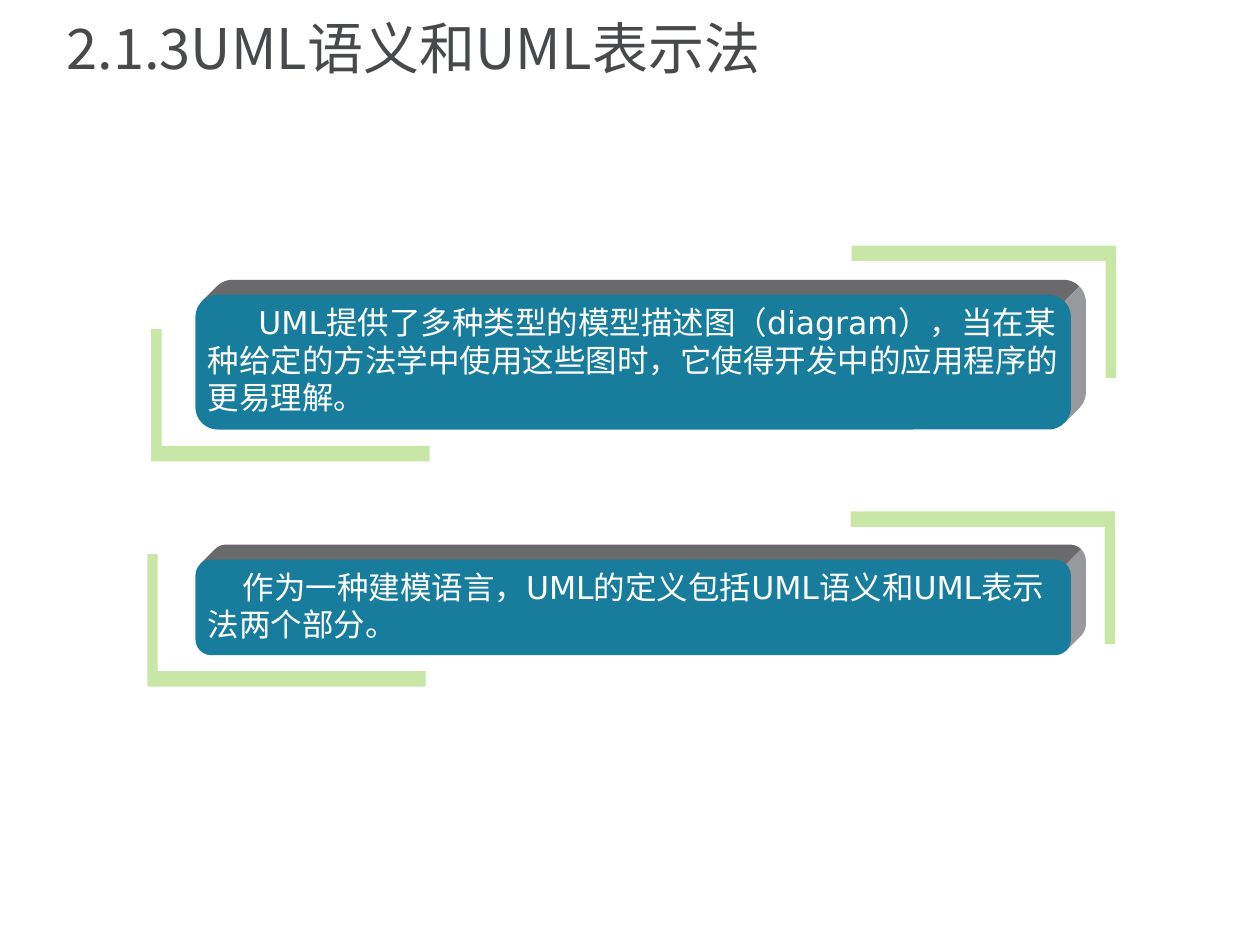
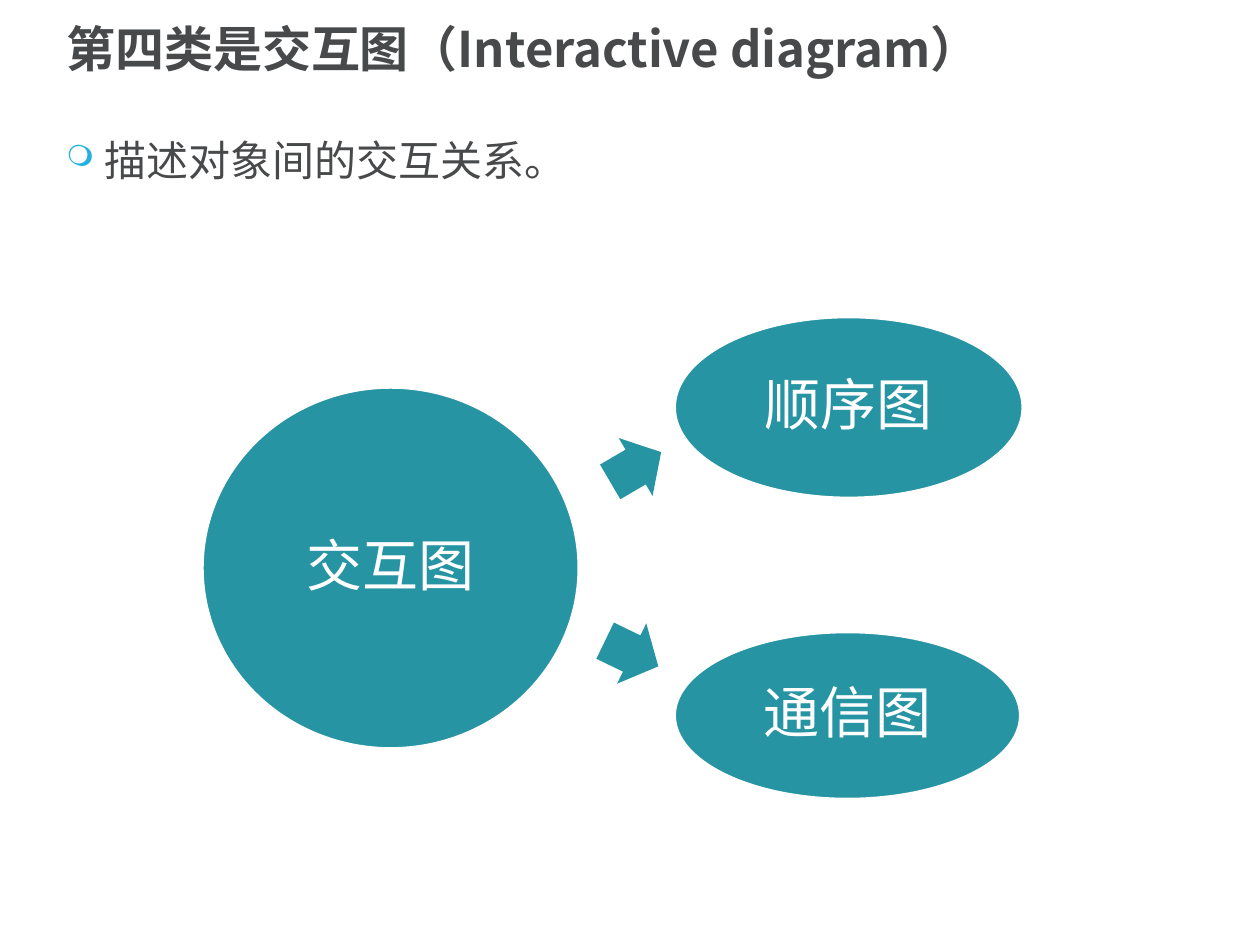
from dataclasses import dataclass
from math import cos, radians, sin

from lxml import etree
from pptx import Presentation
from pptx.dml.color import RGBColor
from pptx.enum import shapes, text
from pptx.oxml import ns
from pptx.util import Cm, Pt

Point = tuple[float, float]


@dataclass(frozen=True)
class Theme:
    ink: str = "47494B"
    white: str = "FFFFFF"
    face: str = "187D9D"
    top: str = "6A6A6C"
    side: str = "97999C"
    lime: str = "92D050"
    teal: str = "2794A4"
    bullet: str = "22B1DE"
    sans: str = "Noto Sans CJK SC"
    plain: str = "DejaVu Sans"
    large: int = 32
    head: int = 28
    body: int = 24
    note: int = 18


@dataclass(frozen=True)
class Panel:
    """Raised card; left and right are the corners of its two brackets."""
    words: str
    y: float
    h: float
    indent: float
    left: Point
    right: Point


@dataclass(frozen=True)
class Oval:
    words: str
    x: float
    y: float
    w: float
    h: float


@dataclass(frozen=True)
class Arrow:
    x: float
    y: float
    turn: float


THEME = Theme()
PANELS = (
    Panel("UML提供了多种类型的模型描述图（diagram），当在某种给定的方法学中使用这些图时，"
          "它使得开发中的应用程序的更易理解。", 5.94, 2.72, 1.02, (3.05, 9.3), (22.5, 4.95)),
    Panel("作为一种建模语言，UML的定义包括UML语义和UML表示法两个部分。",
          11.28, 1.93, 0.7, (2.97, 13.84), (22.48, 10.31)),
)
OVALS = (
    Oval("顺序图", 13.61, 6.4, 7, 3.63),
    Oval("通信图", 13.61, 12.75, 6.95, 3.35),
    Oval("交互图", 4.09, 7.82, 7.57, 7.26),
)
ARROWS = (Arrow(12.22, 8.74, 329.7), Arrow(12.14, 12.5, 25.8))
CARD_X, CARD_W, DEPTH = 3.94, 17.65, 0.3


def add(node, tag: str, **attrs: str):
    return etree.SubElement(node, ns.qn(tag), attrs)


def write(frame, words: str, *, size: int, color: str = THEME.ink,
          font: str = THEME.sans, bold: bool = False, align=None, anchor=None,
          gap: float = 1, margin: float = 0, indent: float = 0, bullet: str = "") -> None:
    frame.word_wrap = True
    frame.vertical_anchor = anchor or text.MSO_ANCHOR.TOP
    para = frame.paragraphs[0]
    para.alignment = align
    para.line_spacing = gap
    props = para._p.get_or_add_pPr()
    props.set("marL", str(Cm(margin)))
    props.set("indent", str(Cm(indent)))
    if bullet:
        add(add(props, "a:buClr"), "a:srgbClr", val=THEME.bullet)
        add(props, "a:buSzPct", val="70000")
        add(props, "a:buChar", char=bullet)
    run = para.add_run()
    run.text = words
    run.font.size = Pt(size)
    run.font.bold = bold
    run.font.color.rgb = RGBColor.from_string(color)
    run.font.name = font
    add(run._r.get_or_add_rPr(), "a:ea", typeface=font)


def box(slide, x: float, y: float, w: float, h: float):
    return slide.shapes.add_textbox(Cm(x), Cm(y), Cm(w), Cm(h)).text_frame


def paint(shape, color: str, line: str = "") -> None:
    shape.shadow.inherit = False
    shape.fill.solid()
    shape.fill.fore_color.rgb = RGBColor.from_string(color)
    if line:
        shape.line.color.rgb = RGBColor.from_string(line)
        shape.line.width = Pt(1)
    else:
        shape.line.fill.background()


def preset(slide, kind, x: float, y: float, w: float, h: float, color: str, line: str = ""):
    shape = slide.shapes.add_shape(kind, Cm(x), Cm(y), Cm(w), Cm(h))
    paint(shape, color, line)
    return shape


def outline(slide, points: list[Point], color: str):
    spots = [(Cm(x), Cm(y)) for x, y in points]
    pen = slide.shapes.build_freeform(*spots[0])
    pen.add_line_segments(spots[1:], close=True)
    shape = pen.convert_to_shape()
    paint(shape, color)
    return shape


def bracket(slide, corner: Point, w: float, sign: int) -> None:
    """Half-clear angle: sign 1 opens up and right, -1 down and left."""
    x, y = corner
    steps = ((0, 0), (w, 0), (w, 0.31), (0.21, 0.31), (0.21, 2.67), (0, 2.67))
    shape = outline(slide, [(x + sign * dx, y - sign * dy) for dx, dy in steps], THEME.lime)
    tint = shape.fill._xPr.find(".//" + ns.qn("a:srgbClr"))
    add(tint, "a:alpha", val="50000")


def arc(x: float, y: float, r: float, start: int, end: int) -> list[Point]:
    step = -5 if end < start else 5
    turns = [radians(a) for a in range(start, end + step, step)]
    return [(x + r * cos(a), y - r * sin(a)) for a in turns]


def card(slide, panel: Panel) -> None:
    """Rounded face with a grey top and side, swept up and right."""
    r = panel.h / 6
    west, east = CARD_X + r, CARD_X + CARD_W - r
    north, south = panel.y + r, panel.y + panel.h - r
    top = (arc(west, north, r, 135, 135)
           + arc(west + DEPTH, north - DEPTH, r, 135, 90)
           + arc(east + DEPTH, north - DEPTH, r, 90, 45) + [(east, north)])
    side = ([(east, north)] + arc(east + DEPTH, north - DEPTH, r, 45, 0)
            + arc(east + DEPTH, south - DEPTH, r, 0, -45)
            + arc(east, south, r, -45, -45))
    outline(slide, top, THEME.top)
    outline(slide, side, THEME.side)
    face = preset(slide, shapes.MSO_SHAPE.ROUNDED_RECTANGLE,
                  CARD_X, panel.y, CARD_W, panel.h, THEME.face)
    face.adjustments[0] = 0.167
    write(box(slide, CARD_X, panel.y + 0.04, CARD_W, panel.h), panel.words,
          size=THEME.note, color=THEME.white, font=THEME.plain, indent=panel.indent)


def page(deck, title: str, size: int, bold: bool = False):
    slide = deck.slides.add_slide(deck.slide_layouts[6])
    write(box(slide, 1.09, 0.15, 22.99, 1.78), title, size=size, bold=bold,
          anchor=text.MSO_ANCHOR.MIDDLE, gap=0.9)
    return slide


def syntax(deck) -> None:
    slide = page(deck, "2.1.3UML语义和UML表示法", THEME.large)
    for panel in PANELS:
        bracket(slide, panel.left, 5.61, 1)
        bracket(slide, panel.right, 5.33, -1)
        card(slide, panel)


def diagram(deck) -> None:
    slide = page(deck, "第四类是交互图（Interactive diagram）", THEME.head, bold=True)
    write(box(slide, 1.09, 2.49, 22.99, 15.14), "描述对象间的交互关系。",
          size=THEME.body, align=text.PP_ALIGN.JUSTIFY, gap=1.1,
          margin=0.76, indent=-0.76, bullet="❍")
    for oval in OVALS:
        shape = preset(slide, shapes.MSO_SHAPE.OVAL, oval.x, oval.y, oval.w, oval.h,
                       THEME.teal, THEME.white)
        write(shape.text_frame, oval.words, size=THEME.large, color=THEME.white,
              align=text.PP_ALIGN.CENTER, anchor=text.MSO_ANCHOR.MIDDLE, gap=0.9)
    for arrow in ARROWS:
        shape = preset(slide, shapes.MSO_SHAPE.RIGHT_ARROW, arrow.x, arrow.y, 1.19, 1.35,
                       THEME.teal)
        shape.adjustments[0] = 0.6
        shape.adjustments[1] = 0.5
        shape.rotation = arrow.turn


def main() -> None:
    deck = Presentation()
    deck.slide_width, deck.slide_height = Cm(25.4), Cm(19.05)
    syntax(deck)
    diagram(deck)
    deck.save("out.pptx")


if __name__ == "__main__":
    main()
